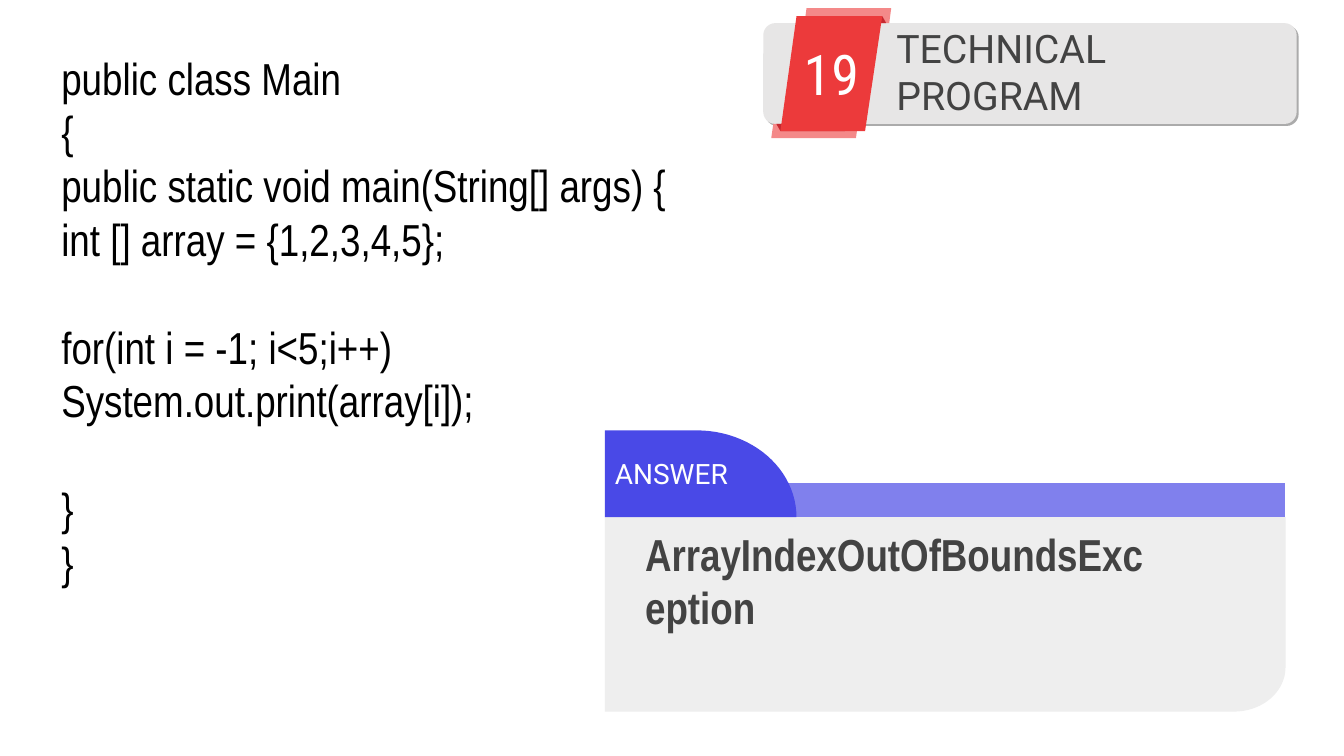
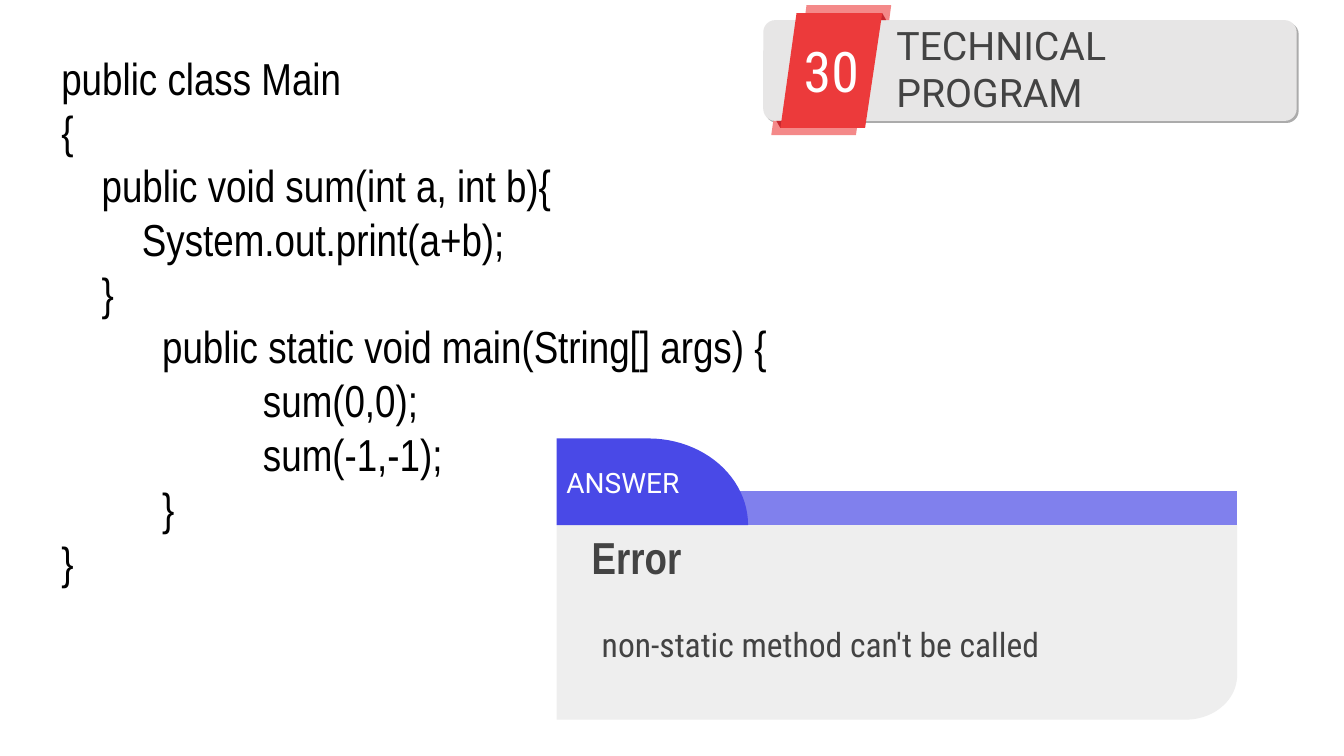
import math

from pptx import Presentation
from pptx.dml.color import RGBColor
from pptx.enum.shapes import MSO_SHAPE
from pptx.enum.text import MSO_ANCHOR, MSO_AUTO_SIZE, PP_ALIGN
from pptx.oxml.ns import qn
from pptx.util import Pt
from lxml import etree

ROUNDED = MSO_SHAPE.ROUNDED_RECTANGLE
TOP, MIDDLE = MSO_ANCHOR.TOP, MSO_ANCHOR.MIDDLE
LEFT, CENTER = PP_ALIGN.LEFT, PP_ALIGN.CENTER
NO_FIT = MSO_AUTO_SIZE.NONE

EMU_PER_PX = 9144  # 100 px to the inch
TITLE_ONLY = 5

BLACK, WHITE, GRAY_TEXT = "000000", "FFFFFF", "434343"
BANNER, PANEL = "E7E6E6", "EEEEEE"
RIBBON, RIBBON_TAIL, RIBBON_FOLD = "EC3A3B", "F48989", "C6282F"
TAB, BAR = "4949E7", "8080ED"
NARROW, ROBOTO, CONDENSED = "Arial Narrow", "Roboto", "Roboto Condensed"

CODE_LINE = 38.5  # height of one line of code, in points

# Each line of code: text, indent in px, lines left free above
ARRAY_CODE = [
    ("public class Main", 0, 0),
    ("{", 0, 0),
    ("public static void main(String[] args) {", 0, 0),
    ("int [] array = {1,2,3,4,5};", 0, 0),
    ("for(int i = -1; i<5;i++)", 0, 1),
    ("System.out.print(array[i]);", 0, 0),
    ("}", 0, 1),
    ("}", 0, 0),
]
SUM_CODE = [
    ("public class Main", 0, 0),
    ("{", 0, 0),
    ("public void sum(int a, int b){", 40, 0),
    ("System.out.print(a+b);", 80, 0),
    ("}", 40, 0),
    ("public static void main(String[] args) {", 100, 0),
    ("sum(0,0);", 200, 0),
    ("sum(-1,-1);", 200, 0),
    ("}", 100, 0),
    ("}", 0, 0),
]


def px(value):
    return round(value * EMU_PER_PX)


def color(hex_code):
    return RGBColor.from_string(hex_code)


def write(shape, lines, *, size, font, ink, bold=False, align=LEFT,
          anchor=MIDDLE, inset=10):
    """Write a string, or a list of (text, indent, free lines above)."""
    frame = shape.text_frame
    frame.word_wrap = True
    frame.auto_size = NO_FIT
    frame.vertical_anchor = anchor
    frame.margin_left = frame.margin_right = px(10)
    frame.margin_top = frame.margin_bottom = px(inset)
    if isinstance(lines, str):
        lines = [(lines, 0, 0)]
    for index, (text, indent, free_lines) in enumerate(lines):
        paragraph = frame.add_paragraph() if index else frame.paragraphs[0]
        paragraph.alignment = align
        paragraph.space_before = Pt(free_lines * CODE_LINE)
        if indent:
            paragraph._p.get_or_add_pPr().set("marL", str(px(indent)))
        run = paragraph.add_run()
        run.text = text
        run.font.size = Pt(size)
        run.font.name = font
        run.font.bold = bold
        run.font.color.rgb = color(ink)


def add_text(slide, left, top, width, height, lines, **style):
    box = slide.shapes.add_textbox(px(left), px(top), px(width), px(height))
    write(box, lines, **style)


def paint(shape, fill, alpha=None):
    shape.shadow.inherit = False
    shape.line.fill.background()
    shape.fill.solid()
    shape.fill.fore_color.rgb = color(fill)
    if alpha is not None:
        tint = shape._element.spPr.find(".//" + qn("a:srgbClr"))
        etree.SubElement(tint, qn("a:alpha")).set("val", str(alpha * 1000))


def add_outline(slide, points, fill):
    corners = [(px(x), px(y)) for x, y in points]
    builder = slide.shapes.build_freeform(*corners[0], scale=1.0)
    builder.add_line_segments(corners[1:], close=True)
    outline = builder.convert_to_shape()
    paint(outline, fill)
    return outline


def arc(center_x, center_y, radius_x, radius_y, start, steps=24):
    """Points of a quarter ellipse, clockwise from start degrees."""
    angles = [math.radians(start + 90 * i / steps) for i in range(steps + 1)]
    return [(center_x + radius_x * math.cos(a), center_y + radius_y * math.sin(a))
            for a in angles]


def add_code(slide, lines):
    add_text(slide, 51, 45, 1176, 549, lines, size=32, font=NARROW, ink=BLACK,
             anchor=TOP, inset=5)


def add_banner(slide, top, number):
    # Plate with its soft edge
    for shift, fill, alpha in ((2, BLACK, 33), (0, BANNER, None)):
        plate = slide.shapes.add_shape(ROUNDED, px(757 + shift), px(top + shift),
                                       px(529), px(100))
        plate.adjustments[0] = 0.12
        paint(plate, fill, alpha)

    # Ribbon: tails, folds, then the front with the number
    ribbon_parts = [
        (RIBBON_TAIL, [(800, -15), (798, 0), (882, 0), (884, -15)]),
        (RIBBON_TAIL, [(767, 100), (765, 114), (849, 114), (851, 100)]),
        (RIBBON_FOLD, [(770, 100), (774, 107), (838, 107), (838, 100)]),
        (RIBBON_FOLD, [(811, -7), (809, 0), (879, 0), (875, -7)]),
        (RIBBON, [(790, -7), (774, 107), (858, 107), (875, -7)]),
    ]
    for fill, points in ribbon_parts:
        front = add_outline(slide, [(x, top + y) for x, y in points], fill)
    write(front, number, size=40, font=CONDENSED, ink=WHITE, align=CENTER)

    # Title, brought in front of the plate
    title = slide.shapes.title
    title.left, title.top = px(879), px(top + 20)
    title.width, title.height = px(402), px(55)
    write(title, "TECHNICAL PROGRAM", size=28, font=ROBOTO, ink=GRAY_TEXT)
    slide.shapes._spTree.append(title._element)


def add_answer_card(slide, left, top):
    right, bottom, fold = left + 675, top + 279, top + 86
    add_outline(slide, [(left + 135, top + 52), (right, top + 52),
                        (right, fold), (left + 135, fold)], BAR)
    add_outline(slide, [(left, fold), (right, fold),
                        *arc(right - 51, bottom - 44, 51, 44, 0),
                        (left, bottom)], PANEL)
    tab = add_outline(slide, [(left, fold), (left, top),
                              *arc(left + 91, fold, 99, 86, -90)], TAB)
    write(tab, "ANSWER", size=20, font=ROBOTO, ink=WHITE)


def add_answer(slide, left, top, width, text):
    add_text(slide, left, top, width, 79, text, size=32, font=NARROW,
             ink=GRAY_TEXT, bold=True)


def add_question(deck, code, number, banner_top, card_left, card_top):
    slide = deck.slides.add_slide(deck.slide_layouts[TITLE_ONLY])
    add_code(slide, code)
    add_banner(slide, banner_top, number)
    add_answer_card(slide, card_left, card_top)
    return slide


def main():
    deck = Presentation()
    deck.slide_width, deck.slide_height = px(1333), px(750)

    # Array bounds
    bounds = add_question(deck, ARRAY_CODE, "19", 23, 600, 427)
    add_answer(bounds, 630, 536, 534, "ArrayIndexOutOfBoundsException")

    # Static call
    static_call = add_question(deck, SUM_CODE, "30", 20, 552, 435)
    add_text(static_call, 587, 586, 596, 105, "non-static method can't be called",
             size=24, font=CONDENSED, ink=GRAY_TEXT)
    add_answer(static_call, 577, 513, 443, "Error")

    deck.save("out.pptx")


if __name__ == "__main__":
    main()
